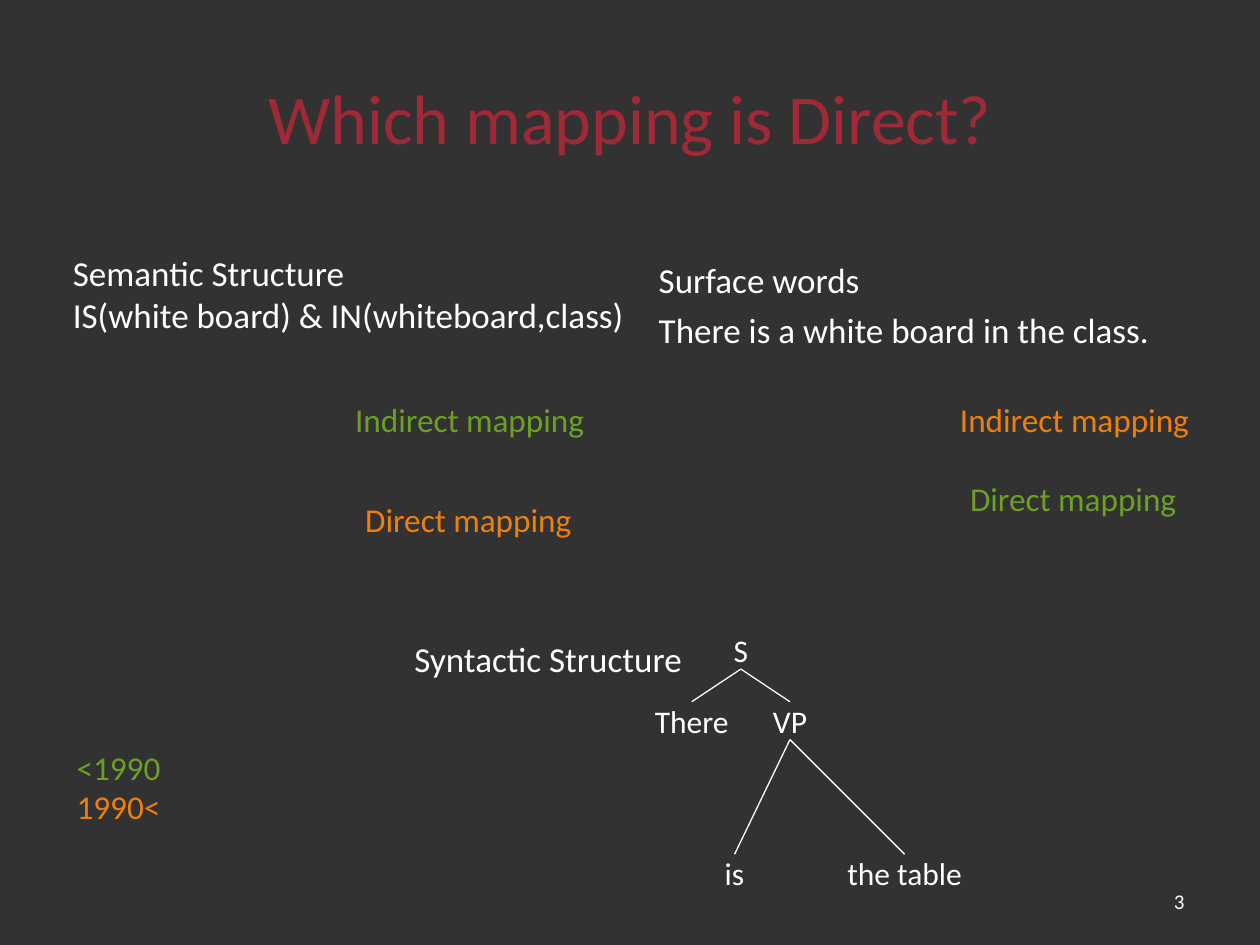
from lxml import etree
from pptx import Presentation
from pptx.dml.color import RGBColor
from pptx.enum import shapes, text
from pptx.oxml import ns
from pptx.util import Inches, Pt

FONT = "Calibri"
COLORS = {"ground": "323232", "title": "9F2936", "plain": "FFFFFF",
          "before": "6B9F25", "after": "F07F09"}

# style: size, space before, alignment, anchor, wrap, inset
LEFT, CENTER, RIGHT = text.PP_ALIGN.LEFT, text.PP_ALIGN.CENTER, text.PP_ALIGN.RIGHT
TOP, MIDDLE = text.MSO_ANCHOR.TOP, text.MSO_ANCHOR.MIDDLE
FIXED, GROW = text.MSO_AUTO_SIZE.NONE, text.MSO_AUTO_SIZE.SHAPE_TO_FIT_TEXT
STYLES = {
    "number": (12, 0, RIGHT, MIDDLE, True, (0.1, 0.05)),
    "title": (40, 0, CENTER, MIDDLE, True, (0.1, 0.05)),
    "heading": (20, 5, LEFT, TOP, True, (0.1, 0.05)),
    "formula": (20, 0, LEFT, TOP, False, (0.1, 0.05)),
    "mapping": (19, 4.8, LEFT, TOP, True, (0.1, 0.05)),
    "node": (18, 0, CENTER, MIDDLE, False, (0, 0)),
}

# style, colour, (left, top, width, height), lines
TEXTS = [
    ("number", "plain", (7.17, 6.95, 2.33, 0.4), ["3"]),
    ("title", "title", (0.5, 0.3, 9, 1.25), ["Which mapping is Direct?"]),
    ("heading", "plain", (5.13, 2, 4.37, 1.44),
     ["Surface words", "There is a white board in the class."]),
    ("heading", "plain", (3.19, 5.01, 4.37, 1.44), ["Syntactic Structure"]),
    ("mapping", "before", (2.72, 3.12, 2.84, 0.55), ["Indirect mapping"]),
    ("mapping", "after", (2.8, 3.91, 2.84, 0.55), ["Direct mapping"]),
    ("mapping", "after", (7.52, 3.12, 2.68, 0.63), ["Indirect mapping"]),
    ("mapping", "before", (7.6, 3.75, 2.68, 0.63), ["Direct mapping"]),
    ("mapping", "before", (0.51, 5.88, 2.84, 0.55), ["<1990"]),
    ("mapping", "after", (0.51, 6.19, 2.84, 0.55), ["1990<"]),
    ("formula", "plain", (0.48, 1.95, 4.58, 0.77),
     ["Semantic Structure", "IS(white board) & IN(whiteboard,class)"]),
]

# word: (centre, top, width)
NODE_HEIGHT = 0.3
NODES = {"S": (5.88, 5.01, 0.14), "There": (5.49, 5.57, 0.62),
         "VP": (6.27, 5.57, 0.32), "is": (5.83, 6.78, 0.2),
         "the table": (7.18, 6.78, 0.94)}
BRANCHES = [("S", "There"), ("S", "VP"), ("VP", "is"), ("VP", "the table")]


def rgb(name):
    return RGBColor.from_string(COLORS[name])


def add_text(slide, style, color, place, lines):
    size, before, align, anchor, wrap, (inset_x, inset_y) = STYLES[style]
    frame = slide.shapes.add_textbox(*map(Inches, place)).text_frame
    layout = {"word_wrap": wrap, "auto_size": FIXED if wrap else GROW,
              "vertical_anchor": anchor,
              "margin_left": Inches(inset_x), "margin_right": Inches(inset_x),
              "margin_top": Inches(inset_y), "margin_bottom": Inches(inset_y)}
    for attribute, value in layout.items():
        setattr(frame, attribute, value)
    frame.text = "\n".join(lines)
    for paragraph in frame.paragraphs:
        paragraph.alignment = align
        paragraph.space_before = Pt(before)
        for run in paragraph.runs:
            run.font.name = FONT
            run.font.size = Pt(size)
            run.font.color.rgb = rgb(color)


def add_branch(slide, parent, child):
    """Join the bottom of the parent to the top of the child."""
    parent_x, parent_top, _ = NODES[parent]
    child_x, child_top, _ = NODES[child]
    ends = (parent_x, parent_top + NODE_HEIGHT, child_x, child_top)
    branch = slide.shapes.add_connector(
        shapes.MSO_CONNECTOR.STRAIGHT, *map(Inches, ends))
    branch.line.color.rgb = rgb("plain")
    branch.line.width = Pt(0.75)
    etree.SubElement(branch._element.spPr, ns.qn("a:effectLst"))


def main():
    deck = Presentation()
    deck.slide_width, deck.slide_height = Inches(10), Inches(7.5)
    slide = deck.slides.add_slide(deck.slide_layouts[6])
    ground = slide.background.fill
    ground.solid()
    ground.fore_color.rgb = rgb("ground")

    for entry in TEXTS:
        add_text(slide, *entry)
    for word, (centre, top, width) in NODES.items():
        place = (centre - width / 2, top, width, NODE_HEIGHT)
        add_text(slide, "node", "plain", place, [word])
    for parent, child in BRANCHES:
        add_branch(slide, parent, child)

    deck.save("out.pptx")


if __name__ == "__main__":
    main()
